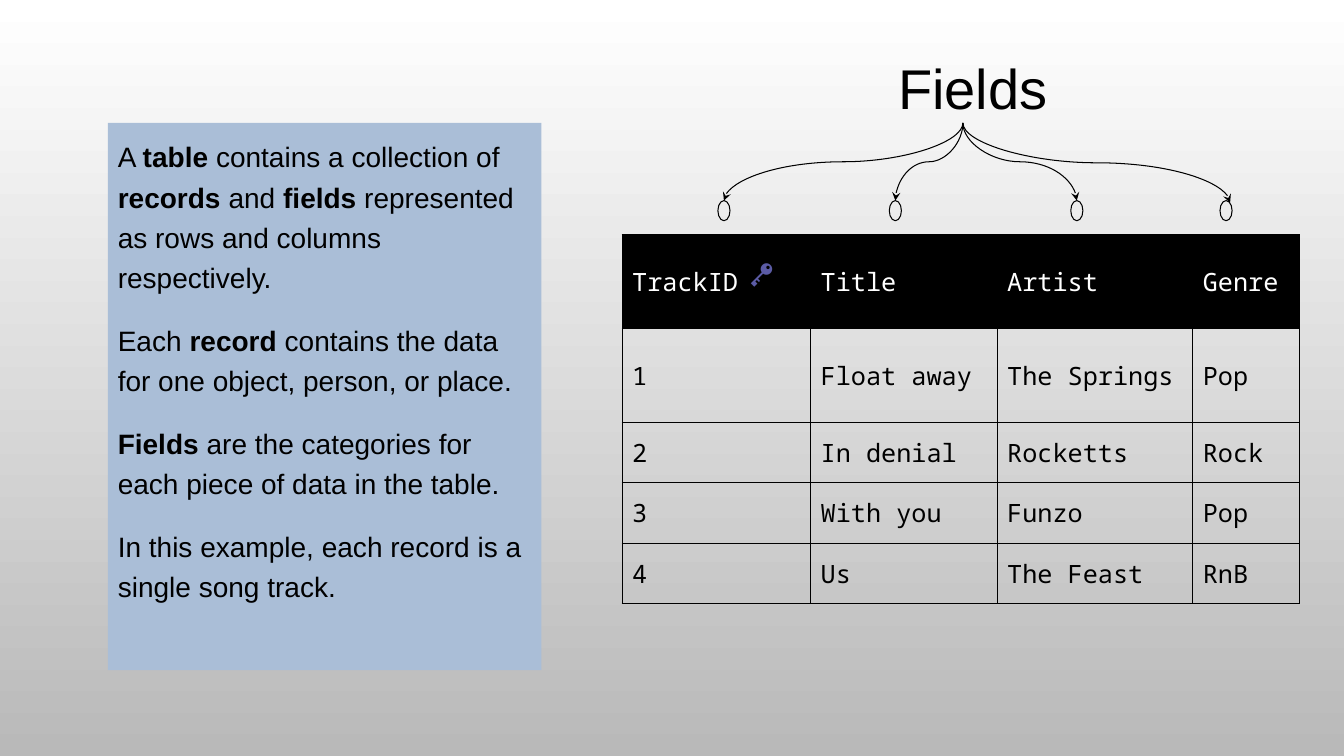
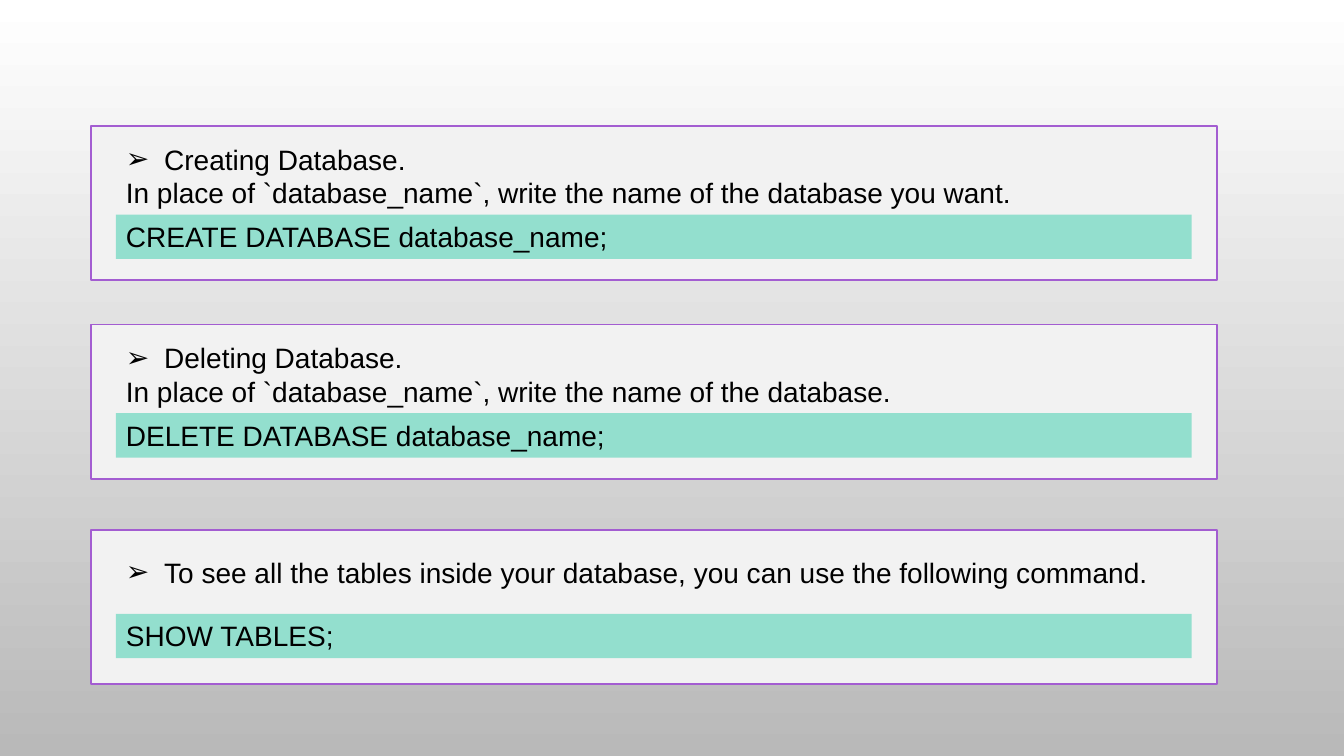
from dataclasses import dataclass

from lxml import etree
from pptx import Presentation
from pptx.dml.color import RGBColor
from pptx.enum.shapes import MSO_CONNECTOR, MSO_SHAPE
from pptx.enum.text import MSO_ANCHOR, PP_ALIGN
from pptx.oxml.ns import qn
from pptx.util import Inches, Pt

RECT, OVAL = MSO_SHAPE.RECTANGLE, MSO_SHAPE.OVAL
CURVE = MSO_CONNECTOR.CURVE
TOP, MIDDLE = MSO_ANCHOR.TOP, MSO_ANCHOR.MIDDLE
LEFT = PP_ALIGN.LEFT


@dataclass(frozen=True)
class Theme:
    font: str = "Arial"
    mono: str = "Noto Sans Mono"
    accent_font: str = "Quicksand"
    title: float = 40
    body: float = 20
    cell: float = 18
    hairline: float = 0.75
    border: float = 1.25
    black: str = "000000"
    white: str = "FFFFFF"
    shade: str = "B9B9B9"
    note: str = "AABED7"
    card: str = "F2F2F2"
    purple: str = "A35DD1"
    code: str = "93DFCE"
    key: str = "5B5BA5"


THEME = Theme()


def rgb(color):
    return RGBColor.from_string(color)


def add_xml(parent, tag, **attrs):
    return etree.SubElement(parent, qn(tag), attrs)


class Deck:
    def __init__(self, theme):
        self.t = theme
        self.prs = Presentation()
        self.prs.slide_width, self.prs.slide_height = Inches(13.33), Inches(7.5)
        fill = self.prs.slide_master.background.fill
        fill.gradient()
        fill.gradient_angle = 270
        for stop, color in zip(fill.gradient_stops, (theme.white, theme.shade)):
            stop.color.rgb = rgb(color)
        self.s = None

    def slide(self):
        self.s = self.prs.slides.add_slide(self.prs.slide_layouts[6])

    def style(self, r, size, color=None, font=None, bold=False):
        r.font.name = font or self.t.font
        r.font.size = Pt(size)
        r.font.bold = bold
        r.font.color.rgb = rgb(color or self.t.black)

    def put_text(self, tf, lines, size, color=None, font=None, inset=0.05):
        """Fill a text frame; *stars* mark bold words."""
        tf.word_wrap = True
        tf.vertical_anchor = TOP
        tf.margin_left = tf.margin_right = Inches(0.1)
        tf.margin_top = tf.margin_bottom = Inches(inset)
        for i, line in enumerate(lines):
            p = tf.add_paragraph() if i else tf.paragraphs[0]
            p.alignment = LEFT
            for n, part in enumerate(line.split("*")):
                if part:
                    r = p.add_run()
                    r.text = part
                    self.style(r, size, color, font, bold=n % 2 == 1)

    def shape(self, kind, x, y, w, h, fill=None, line=None, width=None):
        sp = self.s.shapes.add_shape(kind, Inches(x), Inches(y), Inches(w), Inches(h))
        sp.shadow.inherit = False
        if fill:
            sp.fill.solid()
            sp.fill.fore_color.rgb = rgb(fill)
        else:
            sp.fill.background()
        if line:
            sp.line.color.rgb = rgb(line)
            sp.line.width = Pt(width)
        else:
            sp.line.fill.background()
        return sp

    def text(self, x, y, w, h, lines, size, **kwargs):
        sp = self.s.shapes.add_textbox(Inches(x), Inches(y), Inches(w), Inches(h))
        self.put_text(sp.text_frame, lines, size, **kwargs)
        return sp.text_frame

    def bullet(self, p):
        pPr = p._p.get_or_add_pPr()
        pPr.set("marL", str(Inches(0.38)))
        pPr.set("indent", str(Inches(-0.38)))
        add_xml(pPr, "a:buFont", typeface=self.t.font)
        add_xml(pPr, "a:buChar", char="➢")

    def note(self, x, y, w, h, lines):
        sp = self.shape(RECT, x, y, w, h, self.t.note)
        self.put_text(sp.text_frame, lines, self.t.body, inset=0.1)
        for p in sp.text_frame.paragraphs:
            p.line_spacing = 1.2
        for p in sp.text_frame.paragraphs[1:]:
            p.space_before = Pt(16)

    def arrow(self, x1, y1, x2, y2):
        """Curved arrow that leaves and arrives vertically: a turned connector."""
        cx, cy = (x1 + x2) / 2, (y1 + y2) / 2
        dx, dy = abs(x2 - x1) / 2, (y2 - y1) / 2
        to_right = x2 > x1
        if to_right:
            dy = -dy
        line = self.s.shapes.add_connector(
            CURVE, Inches(cx - dy), Inches(cy - dx), Inches(cx + dy), Inches(cy + dx))
        spPr = line._element.spPr
        spPr.find(qn("a:xfrm")).set("rot", str((270 if to_right else 90) * 60000))
        line.line.color.rgb = rgb(self.t.black)
        line.line.width = Pt(self.t.hairline)
        add_xml(spPr.find(qn("a:ln")), "a:tailEnd", type="stealth")
        add_xml(spPr, "a:effectLst")

    def cell_borders(self, cell):
        tcPr = cell._tc.get_or_add_tcPr()
        for i, side in enumerate(("a:lnL", "a:lnR", "a:lnT", "a:lnB")):
            ln = etree.Element(qn(side), {"w": str(Pt(self.t.hairline))})
            add_xml(add_xml(ln, "a:solidFill"), "a:srgbClr", val=self.t.black)
            tcPr.insert(i, ln)

    def table(self, x, y, widths, heights, rows):
        frame = self.s.shapes.add_table(
            len(rows), len(widths), Inches(x), Inches(y),
            Inches(sum(widths)), Inches(sum(heights)))
        tbl = frame.table
        tbl.first_row = tbl.horz_banding = False
        for col, w in zip(tbl.columns, widths):
            col.width = Inches(w)
        for i, (row, h, values) in enumerate(zip(tbl.rows, heights, rows)):
            row.height = Inches(h)
            for cell, value in zip(row.cells, values):
                cell.text = value
                cell.vertical_anchor = MIDDLE
                cell.margin_left = cell.margin_right = Inches(0.1)
                cell.margin_top = cell.margin_bottom = Inches(0.1)
                if i == 0:
                    cell.fill.solid()
                    cell.fill.fore_color.rgb = rgb(self.t.black)
                else:
                    cell.fill.background()
                color = self.t.black if i else self.t.white
                self.style(cell.text_frame.paragraphs[0].runs[0],
                           self.t.cell, color, self.t.mono)
                self.cell_borders(cell)

    def command_card(self, y, text_y, code_y, lines, command):
        x, w = 1.15, 10.67
        self.shape(RECT, 0.9, y, 11.17, 1.53, self.t.card, self.t.purple, self.t.border)
        tf = self.text(x, text_y, w, 0.1 + 0.34 * len(lines), lines, self.t.body)
        self.bullet(tf.paragraphs[0])
        sp = self.shape(RECT, x, code_y, w, 0.44, self.t.code)
        self.put_text(sp.text_frame, [command], self.t.body)


def fields_slide(deck):
    t = deck.t
    deck.slide()
    deck.note(1.07, 1.22, 4.3, 5.43, [
        "A *table *contains a collection of *records *and* fields *"
        "represented as rows and columns respectively.",
        "Each *record *contains the data for one object, person, or place.",
        "*Fields *are the categories for each piece of data in the table.",
        "In this example, each record is a single song track.",
    ])
    deck.table(6.17, 2.33, [1.87, 1.85, 1.94, 1.06], [0.93, 0.93, 0.6, 0.6, 0.6], [
        ["TrackID", "Title", "Artist", "Genre"],
        ["1", "Float away", "The Springs", "Pop"],
        ["2", "In denial", "Rocketts", "Rock"],
        ["3", "With you", "Funzo", "Pop"],
        ["4", "Us", "The Feast", "RnB"],
    ])
    tf = deck.text(7.34, 2.41, 0.54, 0.92, ["🔑"], t.cell,
                   color=t.key, font=t.accent_font, inset=0.1)
    tf.paragraphs[0].line_spacing = 1.15
    targets = [(7.18, 1.99), (8.88, 1.99), (10.68, 1.99), (12.2, 2.01)]
    for x in (7.12, 8.82, 10.62, 12.1):
        deck.shape(OVAL, x, 1.99, 0.12, 0.2, line=t.black, width=t.hairline)
    for x, y in targets:
        deck.arrow(9.55, 1.22, x, y)
    deck.text(8.81, 0.48, 1.93, 0.77, ["Fields"], t.title)


def commands_slide(deck):
    deck.slide()
    place = "In place of `database_name`, write the name of the database"
    deck.command_card(1.25, 1.36, 2.13, ["Creating Database.", place + " you want."],
                      "CREATE DATABASE database_name;")
    deck.command_card(3.22, 3.33, 4.1, ["Deleting Database.", place + "."],
                      "DELETE DATABASE database_name;")
    deck.command_card(5.26, 5.46, 6.09, [
        "To see all the tables inside your database, "
        "you can use the following command."], "SHOW TABLES;")


def main():
    deck = Deck(THEME)
    fields_slide(deck)
    commands_slide(deck)
    deck.prs.save("out.pptx")


if __name__ == "__main__":
    main()
